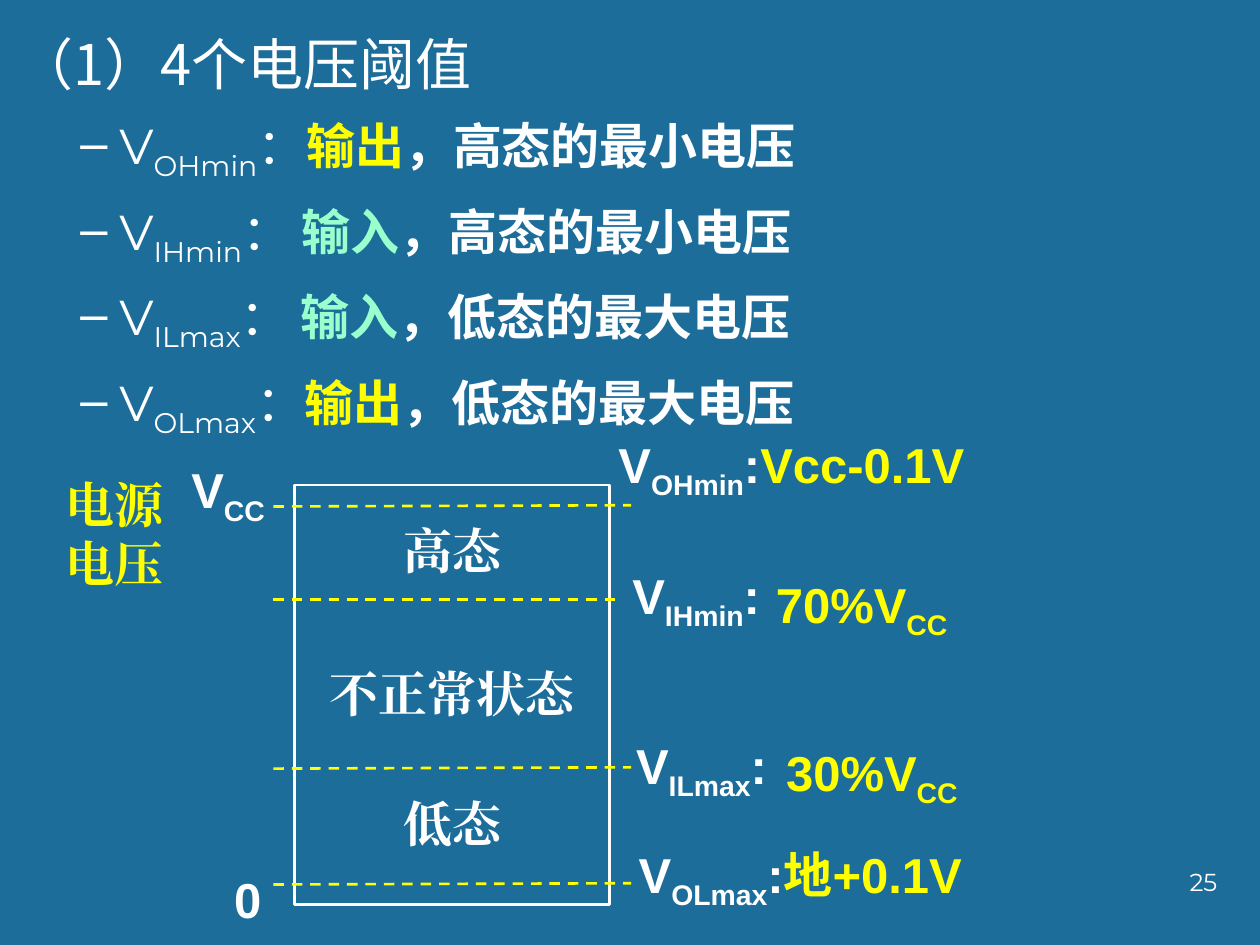
from lxml import etree
from pptx import Presentation
from pptx.dml.color import RGBColor
from pptx.enum.dml import MSO_LINE
from pptx.enum.shapes import MSO_CONNECTOR, MSO_SHAPE
from pptx.enum.text import MSO_ANCHOR, PP_ALIGN
from pptx.oxml.ns import qn
from pptx.util import Inches, Pt

DASH = MSO_LINE.DASH
LINE = MSO_CONNECTOR.STRAIGHT
RECT = MSO_SHAPE.RECTANGLE
TOP = MSO_ANCHOR.TOP
LEFT, MID, RIGHT = PP_ALIGN.LEFT, PP_ALIGN.CENTER, PP_ALIGN.RIGHT
HUES = {"back": "1C6D9A", "white": "FFFFFF", "sun": "FFFF00", "mint": "99FFCC"}
SANS = "Noto Sans CJK SC"
THIN = "Montserrat"
SERIF = "Times New Roman"


def hue(name):
    return RGBColor.from_string(HUES[name])


def write(para, text, size=28, font="Arial", east=None, color="white", bold=True, sub=False):
    run = para.add_run()
    run.text = text
    run.font.size = Pt(size)
    run.font.name = font
    run.font.bold = bold
    run.font.color.rgb = hue(color)
    props = run.font._element
    if sub:
        props.set("baseline", "-25000")
    latin = props.find(qn("a:latin"))
    ea = etree.Element(qn("a:ea"), typeface=east or font)
    latin.addnext(ea)


deck = Presentation()
deck.slide_width, deck.slide_height = Inches(10), Inches(7.5)
slide = deck.slides.add_slide(deck.slide_layouts[6])
slide.background.fill.solid()
slide.background.fill.fore_color.rgb = hue("back")
shapes = slide.shapes

body = shapes.add_textbox(Inches(0.04), Inches(0.08), Inches(9), Inches(5.83)).text_frame
body.word_wrap = True
head = body.paragraphs[0]
head.line_spacing = 1.2
write(head, "（1）4个电压阈值", size=32, font=SANS, bold=False)

items = [
    ("OHmin", "：", "输出", "sun", "，高态的最小电压"),
    ("IHmin", "： ", "输入", "mint", "，高态的最小电压"),
    ("ILmax", "： ", "输入", "mint", "，低态的最大电压"),
    ("OLmax", "：", "输出", "sun", "，低态的最大电压"),
]
for name, colon, word, tint, rest in items:
    para = body.add_paragraph()
    para.level = 1
    para.line_spacing = 1.2
    para.space_before = Pt(3)
    props = para._p.get_or_add_pPr()
    props.set("marL", str(Inches(0.81)))
    props.set("indent", str(Inches(-0.31)))
    etree.SubElement(props, qn("a:buChar"), char="–")
    thin = {"font": THIN, "east": SANS, "bold": False}
    write(para, "V", **thin)
    write(para, name, sub=True, **thin)
    write(para, colon, **thin)
    write(para, word, font=THIN, east=SANS, color=tint)
    write(para, rest, font=THIN, east=SANS)

block = shapes.add_shape(RECT, Inches(2.34), Inches(3.85), Inches(2.5), Inches(3.33))
block.shadow.inherit = False
block.fill.background()
block.line.color.rgb = hue("white")
block.line.width = Pt(1.5)
frame = block.text_frame
frame.word_wrap = False
frame.vertical_anchor = TOP
frame.margin_top = Inches(0.28)
for i, (state, gap) in enumerate([("高态", 0), ("不正常状态", 48), ("低态", 41)]):
    para = frame.add_paragraph() if i else frame.paragraphs[0]
    para.alignment = MID
    para.space_before = Pt(gap)
    write(para, state, font=SERIF)

for left, right, end in [(4.02, 4.01, 5.01), (4.76, 4.76, 4.92), (6.1, 6.09, 5.01), (7.02, 7.01, 5.01)]:
    rule = shapes.add_connector(LINE, Inches(2.17), Inches(left), Inches(end), Inches(right))
    rule.line.color.rgb = hue("sun")
    rule.line.width = Pt(1.5)
    rule.line.dash_style = DASH
    etree.SubElement(rule._element.spPr, qn("a:effectLst"))

sub = {"sub": True}
sun = {"color": "sun"}
low = {"color": "sun", "sub": True}
page = {"size": 14, "font": THIN, "bold": False}
side = {"color": "sun", "font": SERIF}
labels = [
    (1.42, 3.6, 1.17, 0.57, LEFT, [[("V", {}), ("CC", sub)]]),
    (6.06, 4.51, 2.33, 0.57, LEFT, [[("70%V", sun), ("CC", low)]]),
    (6.14, 5.84, 2.42, 0.57, LEFT, [[("30%V", sun), ("CC", low)]]),
    (1.76, 6.85, 0.5, 0.57, LEFT, [[("0", {})]]),
    (4.97, 6.65, 3.21, 0.57, LEFT, [[("V", {}), ("OLmax", sub), (":", {}), ("地+0.1V", sun)]]),
    (4.95, 5.79, 1.35, 0.57, LEFT, [[("V", {}), ("ILmax", sub), (":", {})]]),
    (4.92, 4.44, 1.32, 0.57, LEFT, [[("V", {}), ("IHmin", sub), (":", {})]]),
    (4.81, 3.4, 3.78, 0.57, LEFT, [[("V", {}), ("OHmin", sub), (":", {}), ("Vcc-0.1V", sun)]]),
    (7.68, 6.83, 2.08, 0.5, RIGHT, [[("25", page)]]),
    (0.42, 3.72, 0.99, 1.04, LEFT, [[("电源", side)], [("电压", side)]]),
]
for x, y, w, h, align, rows in labels:
    frame = shapes.add_textbox(Inches(x), Inches(y), Inches(w), Inches(h)).text_frame
    frame.word_wrap = True
    for i, row in enumerate(rows):
        para = frame.add_paragraph() if i else frame.paragraphs[0]
        para.alignment = align
        for text, style in row:
            write(para, text, **style)

deck.save("out.pptx")
